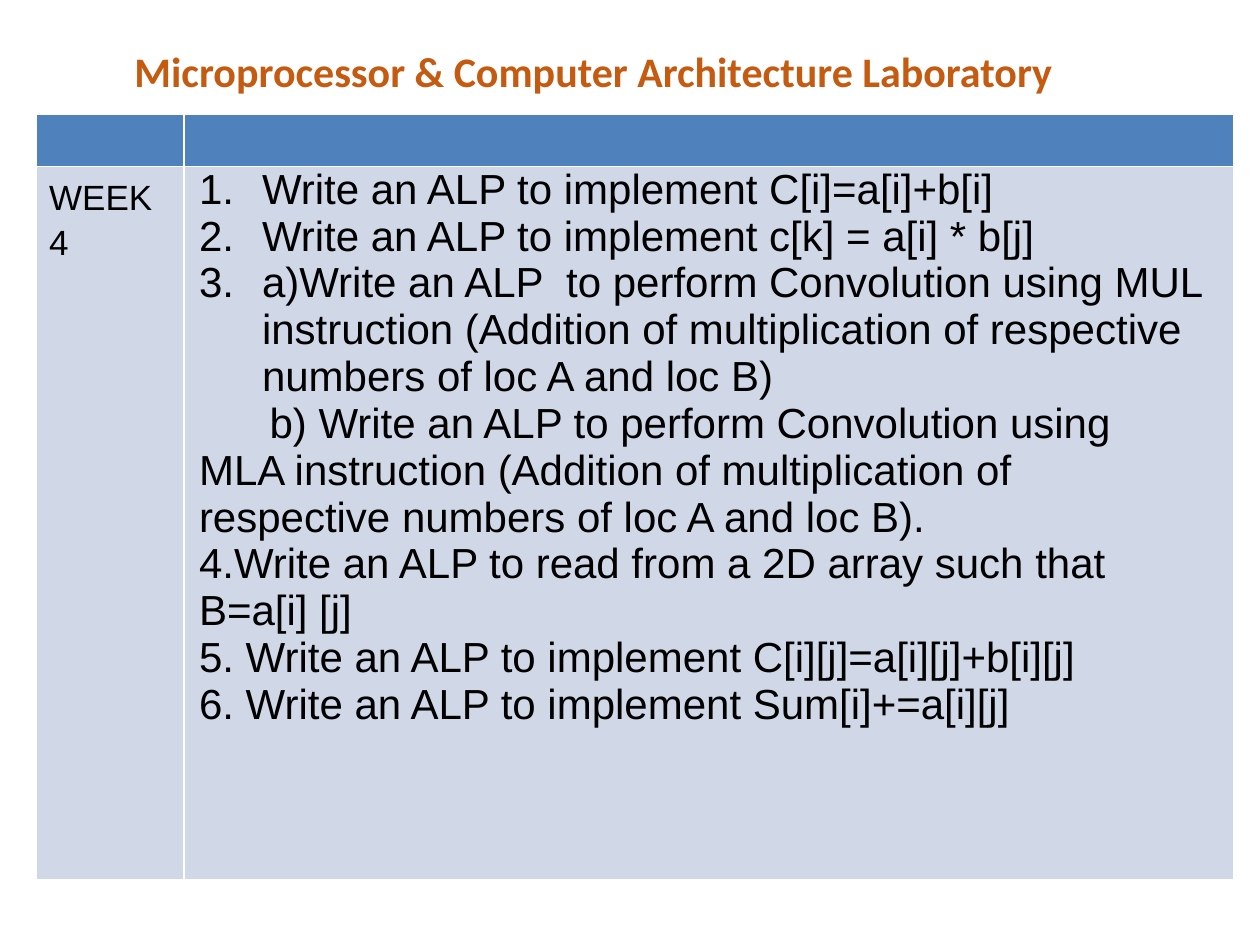
from dataclasses import dataclass

from lxml import etree
from pptx import Presentation
from pptx.dml.color import RGBColor
from pptx.enum.text import MSO_ANCHOR, MSO_AUTO_SIZE, PP_ALIGN
from pptx.oxml.ns import qn
from pptx.util import Inches, Pt

MID = MSO_ANCHOR.MIDDLE
GROW = MSO_AUTO_SIZE.SHAPE_TO_FIT_TEXT
LEFT, CENTER, JUST = PP_ALIGN.LEFT, PP_ALIGN.CENTER, PP_ALIGN.JUSTIFY

WIDE, HIGH = 10, 7.5
COLS = (1.17, 8.33)
ROWS = (0.41, 5.66)
HEAD, BODY = "4F81BD", "D0D8E8"
BLACK, RUST = "000000", "C55A11"


@dataclass(frozen=True)
class Task:
    text: str
    auto: bool = False
    first: float = 0


TASKS = (
    Task("Write an ALP to implement C[i]=a[i]+b[i]", auto=True),
    Task("Write an ALP to implement c[k] = a[i] * b[j]", auto=True),
    Task("a)Write an ALP  to perform Convolution using MUL instruction "
         "(Addition of multiplication of respective numbers of loc A and loc B)", auto=True),
    Task("b) Write an ALP to perform Convolution using\v"
         "MLA instruction (Addition of multiplication of\v"
         "respective numbers of loc A and loc B).", first=0.56),
    Task("4.Write an ALP to read from a 2D array such that\vB=a[i] [j]"),
    Task("5. Write an ALP to implement C[i][j]=a[i][j]+b[i][j]"),
    Task("6. Write an ALP to implement Sum[i]+=a[i][j]"),
)


def tint(code: str) -> RGBColor:
    return RGBColor.from_string(code)


def write(para, text: str, *, size=24, font="Arial", color=BLACK,
          bold=False, align=LEFT, lead=None) -> None:
    para.text = text
    para.alignment = align
    para.line_spacing = lead
    for run in para.runs:
        run.font.size = Pt(size)
        run.font.name = font
        run.font.bold = bold
        run.font.color.rgb = tint(color)


def indent(para, left: float, first: float, auto: bool) -> None:
    props = para._p.get_or_add_pPr()
    props.set("marL", str(Inches(left)))
    props.set("indent", str(Inches(first)))
    if auto:
        mark = etree.SubElement(props, qn("a:buAutoNum"))
        mark.set("type", "arabicPeriod")


def list_tasks(cell, tasks: tuple[Task, ...]) -> None:
    cell.margin_left = cell.margin_right = Inches(0.12)
    cell.margin_top = cell.margin_bottom = 0
    frame = cell.text_frame
    for num, task in enumerate(tasks):
        para = frame.add_paragraph() if num else frame.paragraphs[0]
        write(para, task.text)
        if task.auto:
            indent(para, 0.5, -0.5, True)
        elif task.first:
            indent(para, 0, task.first, False)


def add_title(slide) -> None:
    box = slide.shapes.add_textbox(Inches(0.25), Inches(0.31), Inches(8.92), Inches(0.5))
    frame = box.text_frame
    frame.word_wrap = True
    frame.auto_size = GROW
    frame.vertical_anchor = MID
    write(frame.paragraphs[0], "Microprocessor & Computer Architecture Laboratory",
          font="Calibri", color=RUST, bold=True, align=CENTER)


def add_plan(slide) -> None:
    grid = slide.shapes.add_table(len(ROWS), len(COLS), Inches(0.29), Inches(0.91),
                                  Inches(sum(COLS)), Inches(sum(ROWS))).table
    for col, width in zip(grid.columns, COLS):
        col.width = Inches(width)
    for row, height, fill in zip(grid.rows, ROWS, (HEAD, BODY)):
        row.height = Inches(height)
        for cell in row.cells:
            cell.fill.solid()
            cell.fill.fore_color.rgb = tint(fill)
    write(grid.cell(1, 0).text_frame.paragraphs[0], "WEEK 4",
          size=20, align=JUST, lead=1.15)
    list_tasks(grid.cell(1, 1), TASKS)


def main() -> None:
    deck = Presentation()
    deck.slide_width, deck.slide_height = Inches(WIDE), Inches(HIGH)
    slide = deck.slides.add_slide(deck.slide_layouts[6])
    add_title(slide)
    add_plan(slide)
    deck.save("out.pptx")


if __name__ == "__main__":
    main()
